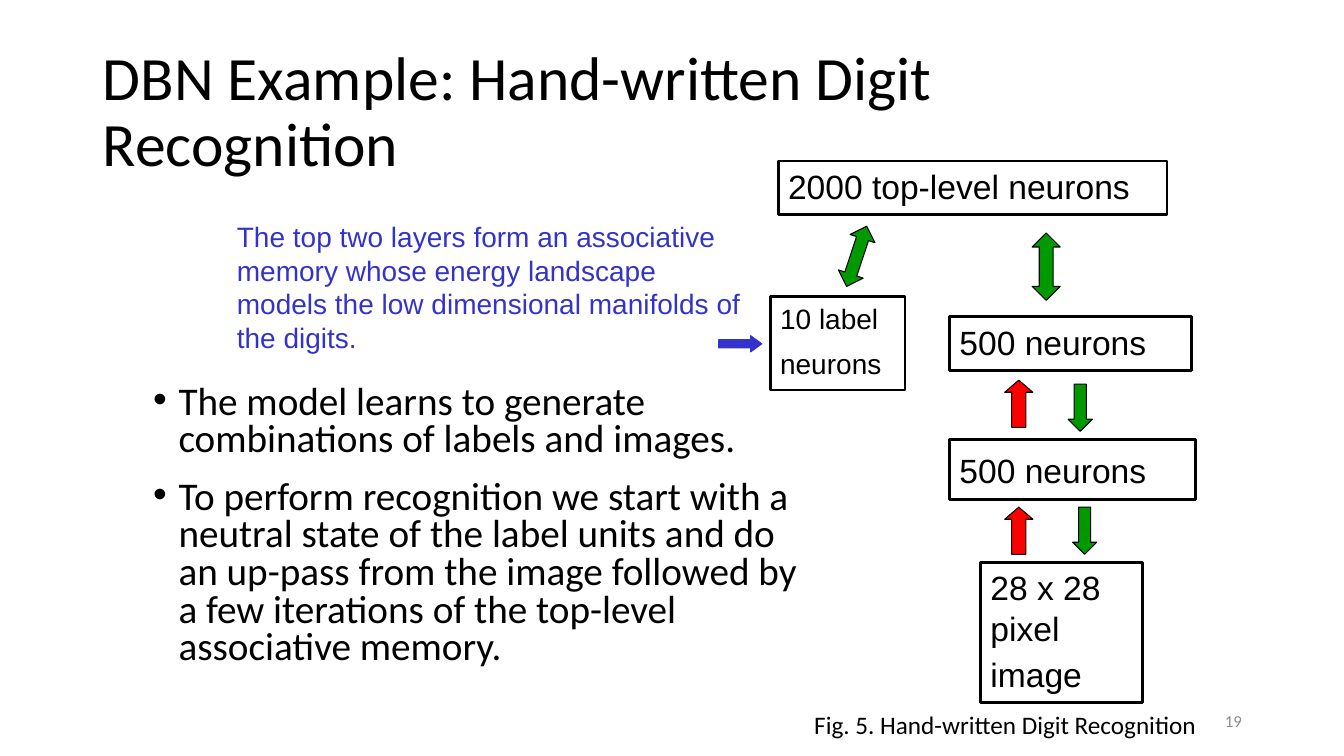
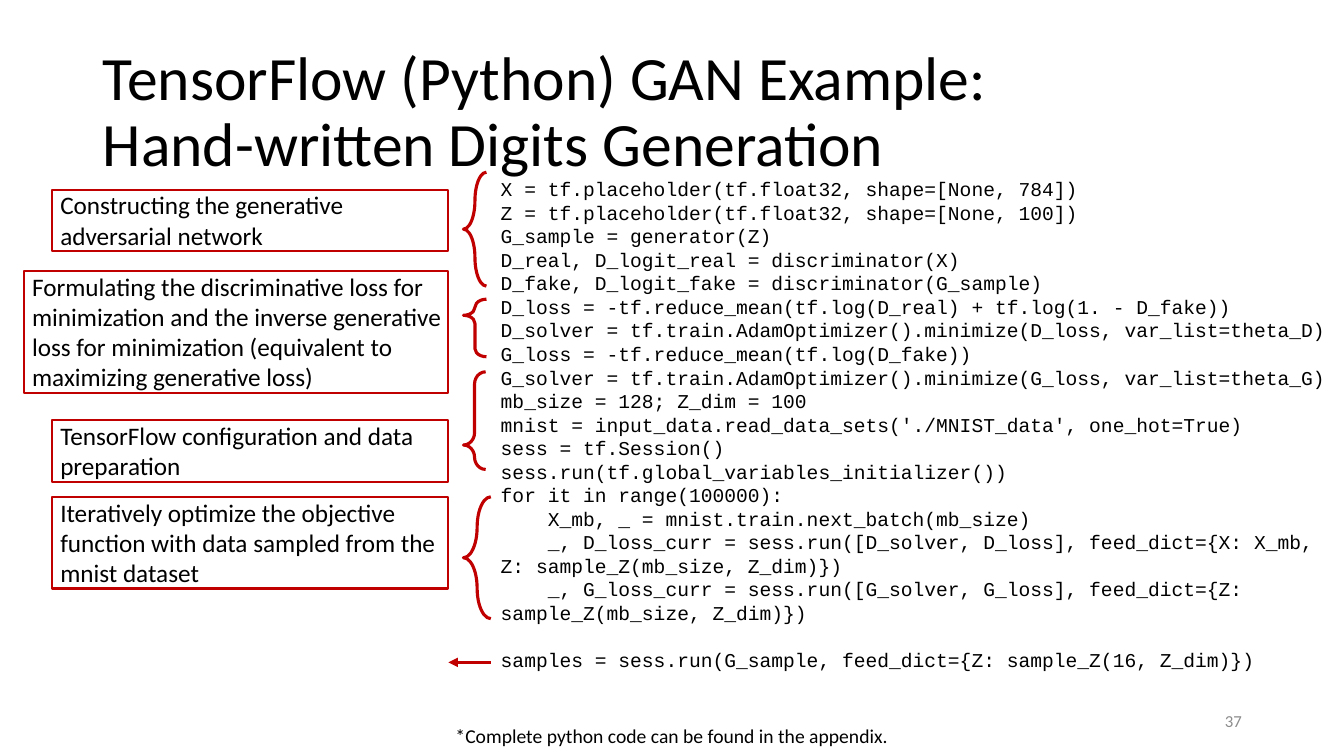
"""Build two slides on hand-written digit recognition and generation."""
import pptx
import pptx.dml.color
import pptx.enum.shapes
import pptx.enum.text
import pptx.oxml.ns
import pptx.util
import lxml.etree

Cm = pptx.util.Cm
Pt = pptx.util.Pt
SHAPE = pptx.enum.shapes.MSO_SHAPE
ALIGN = pptx.enum.text.PP_ALIGN
ANCHOR = pptx.enum.text.MSO_ANCHOR

COLORS = {
    "text": "000000",
    "number": "8C8C8C",
    "memory": "3333CC",
    "down": "009900",
    "up": "FF0000",
    "callout": "C00000",
}

POINTS = [
    "The model learns to generate combinations of labels and images.",
    "To perform recognition we start with a neutral state of the label units and do "
    "an up-pass from the image followed by a few iterations of the top-level "
    "associative memory.",
]

LAYERS = [
    ("2000 top-level neurons", 24, False, (19.61, 4.06, 9.8, 1.35)),
    ("500 neurons", 24, False, (23.93, 7.98, 6.1, 1.35)),
    ("500 neurons", 24, True, (23.93, 11.07, 6.2, 1.52)),
    ("28 x 28 pixel image", 24, True, (24.71, 14.17, 4.09, 3.53)),
    ("10 label neurons", 20, True, (19.41, 7.47, 3.4, 2.36)),
]

ARROWS = [
    (SHAPE.UP_DOWN_ARROW, "down", "text", 0.49, 0, (26.01, 5.87, 0.71, 1.7)),
    (SHAPE.UP_DOWN_ARROW, "down", "text", 0.48, 18.4, (21.26, 5.66, 0.66, 1.6)),
    (SHAPE.DOWN_ARROW, "down", "text", 0.5, 0, (26.92, 9.68, 0.61, 1.19)),
    (SHAPE.DOWN_ARROW, "down", "text", 0.5, 0, (27.03, 12.78, 0.61, 1.19)),
    (SHAPE.UP_ARROW, "up", "text", 0.43, 0, (25.32, 12.78, 0.71, 1.19)),
    (SHAPE.UP_ARROW, "up", "text", 0.43, 0, (25.32, 9.58, 0.71, 1.19)),
    (SHAPE.RIGHT_ARROW, "memory", "memory", 0.69, 0, (18.11, 8.46, 1.09, 0.41)),
]

CODE = [
    "X = tf.placeholder(tf.float32, shape=[None, 784])",
    "Z = tf.placeholder(tf.float32, shape=[None, 100])",
    "G_sample = generator(Z)",
    "D_real, D_logit_real = discriminator(X)",
    "D_fake, D_logit_fake = discriminator(G_sample)",
    "D_loss = -tf.reduce_mean(tf.log(D_real) + tf.log(1. - D_fake))",
    "D_solver = tf.train.AdamOptimizer().minimize(D_loss, var_list=theta_D)",
    "G_loss = -tf.reduce_mean(tf.log(D_fake))",
    "G_solver = tf.train.AdamOptimizer().minimize(G_loss, var_list=theta_G)",
    "mb_size = 128; Z_dim = 100",
    "mnist = input_data.read_data_sets('./MNIST_data', one_hot=True)",
    "sess = tf.Session()",
    "sess.run(tf.global_variables_initializer())",
    "for it in range(100000):",
    "    X_mb, _ = mnist.train.next_batch(mb_size)",
    "    _, D_loss_curr = sess.run([D_solver, D_loss], feed_dict={X: X_mb, "
    "Z: sample_Z(mb_size, Z_dim)})",
    "    _, G_loss_curr = sess.run([G_solver, G_loss], feed_dict={Z: "
    "sample_Z(mb_size, Z_dim)})",
    "samples = sess.run(G_sample, feed_dict={Z: sample_Z(16, Z_dim)})",
]

CALLOUT_RIGHT = 11.3
CALLOUTS = [
    ("Constructing the generative adversarial network", 4.78, 9.98, 1.55),
    ("Formulating the discriminative loss for minimization and the inverse generative "
     "loss for minimization (equivalent to maximizing generative loss)", 6.83, 10.69, 3.07),
    ("TensorFlow configuration and data preparation", 10.59, 9.98, 1.55),
    ("Iteratively optimize the objective function with data sampled from the mnist dataset",
     12.52, 9.98, 2.31),
]
BRACES = [
    (4.34, 0.58, 2.87, 0.5),
    (7.54, 0.58, 1.45, 0.28),
    (9.37, 0.56, 2.46, 0.75),
    (12.52, 0.69, 3.07, 0.5),
]


def rgb(name):
    return pptx.dml.color.RGBColor.from_string(COLORS[name])


def add_run(paragraph, text, size, font="Calibri", color="text"):
    run = paragraph.add_run()
    run.text = text
    run.font.size = Pt(size)
    run.font.name = font
    run.font.color.rgb = rgb(color)


def add_text(slide, box, lines, size, font="Calibri", color="text",
             align=ALIGN.LEFT, anchor=ANCHOR.TOP, wrap=True, spacing=None):
    frame = slide.shapes.add_textbox(*map(Cm, box)).text_frame
    frame.word_wrap = wrap
    frame.vertical_anchor = anchor
    for index, line in enumerate(lines):
        paragraph = frame.add_paragraph() if index else frame.paragraphs[0]
        paragraph.alignment = align
        if spacing:
            paragraph.line_spacing = spacing
        add_run(paragraph, line, size, font, color)
    return frame


def add_title(slide, first, *others):
    frame = add_text(slide, (2.34, 1.02, 29.21, 3.68), [first], 44,
                     anchor=ANCHOR.MIDDLE, spacing=0.9)
    for line in others:
        frame.paragraphs[0].add_line_break()
        add_run(frame.paragraphs[0], line, 44)


def add_number(slide, number):
    add_text(slide, (23.93, 17.65, 7.62, 1.02), [number], 12, color="number",
             align=ALIGN.RIGHT, anchor=ANCHOR.MIDDLE)


def add_bullets(slide, box, lines):
    frame = add_text(slide, box, lines, 28, spacing=0.8)
    for index, paragraph in enumerate(frame.paragraphs):
        properties = paragraph._p.get_or_add_pPr()
        properties.set("marL", str(Cm(0.64)))
        properties.set("indent", str(Cm(-0.64)))
        for tag, key, value in (("a:buFont", "typeface", "Arial"), ("a:buChar", "char", "•")):
            lxml.etree.SubElement(properties, pptx.oxml.ns.qn(tag)).set(key, value)
        if index:
            paragraph.space_before = Pt(14)


def add_outline(slide, kind, box, color, width, fill=None):
    outline = slide.shapes.add_shape(kind, *map(Cm, box))
    outline.shadow.inherit = False
    outline.line.color.rgb = rgb(color)
    outline.line.width = Pt(width)
    if fill:
        outline.fill.solid()
        outline.fill.fore_color.rgb = rgb(fill)
    else:
        outline.fill.background()
    return outline


def add_label(outline, text, size, font="Calibri"):
    frame = outline.text_frame
    frame.word_wrap = True
    frame.vertical_anchor = ANCHOR.TOP
    paragraph = frame.paragraphs[0]
    paragraph.alignment = ALIGN.LEFT
    add_run(paragraph, text, size, font)
    return frame


def add_layer(slide, text, size, tall, box):
    frame = add_label(add_outline(slide, SHAPE.RECTANGLE, box, "text", 2), text, size, "Arial")
    if tall:
        add_run(frame.paragraphs[0], " ", 28, "Arial")


def add_arrow(slide, kind, fill, line, head, rotation, box):
    arrow = add_outline(slide, kind, box, line, 0.75, fill)
    arrow.adjustments[0] = 0.5
    arrow.adjustments[1] = head
    arrow.rotation = rotation


def add_callout(slide, text, top, width, height):
    box = (CALLOUT_RIGHT - width, top, width, height)
    frame = add_label(add_outline(slide, SHAPE.RECTANGLE, box, "callout", 1.5), text, 18)
    frame.margin_left = Cm(0.2)
    frame.margin_top = frame.margin_right = frame.margin_bottom = 0


def add_brace(slide, top, width, height, tip):
    brace = add_outline(slide, SHAPE.LEFT_BRACE, (11.68, top, width, height), "callout", 2.25)
    brace.adjustments[0] = 1.46
    brace.adjustments[1] = tip


def add_pointer(slide, start, end, y):
    pointer = slide.shapes.add_connector(
        pptx.enum.shapes.MSO_CONNECTOR.STRAIGHT, Cm(start), Cm(y), Cm(end), Cm(y))
    pointer.line.color.rgb = rgb("callout")
    pointer.line.width = Pt(2.25)
    qn = pptx.oxml.ns.qn
    lxml.etree.SubElement(pointer.line._get_or_add_ln(), qn("a:tailEnd")).set("type", "triangle")
    lxml.etree.SubElement(pointer._element.spPr, qn("a:effectLst"))


def build_recognition(slide):
    add_title(slide, "DBN Example: Hand-written Digit Recognition")
    add_bullets(slide, (3.61, 9.58, 17.15, 8.13), POINTS)
    add_number(slide, "19")
    for layer in LAYERS:
        add_layer(slide, *layer)
    for arrow in ARROWS:
        add_arrow(slide, *arrow)
    add_text(slide, (5.72, 5.41, 13.51, 3.68),
             ["The top two layers form an associative memory whose energy landscape "
              "models the low dimensional manifolds of the digits."],
             20, "Arial", "memory")
    add_text(slide, (20.27, 17.75, 10.26, 1.02),
             ["Fig. 5. Hand-written Digit Recognition"], 18, wrap=False)


def build_generation(slide):
    add_title(slide, "TensorFlow (Python) GAN Example:", "Hand-written Digits Generation")
    add_number(slide, "37")
    code = add_text(slide, (12.37, 4.34, 21.44, 13.41), CODE, 14, "Courier New")
    code.paragraphs[-1].space_before = Pt(16.8)
    for callout in CALLOUTS:
        add_callout(slide, *callout)
    for brace in BRACES:
        add_brace(slide, *brace)
    add_pointer(slide, 12.37, CALLOUT_RIGHT, 16.69)
    add_text(slide, (11.18, 18.11, 11.51, 0.86),
             ["*Complete python code can be found in the appendix."], 14,
             align=ALIGN.CENTER, wrap=False)


def main():
    deck = pptx.Presentation()
    deck.slide_width = Cm(33.87)
    deck.slide_height = Cm(19.05)
    for build in (build_recognition, build_generation):
        build(deck.slides.add_slide(deck.slide_layouts[6]))
    deck.save("out.pptx")


if __name__ == "__main__":
    main()
